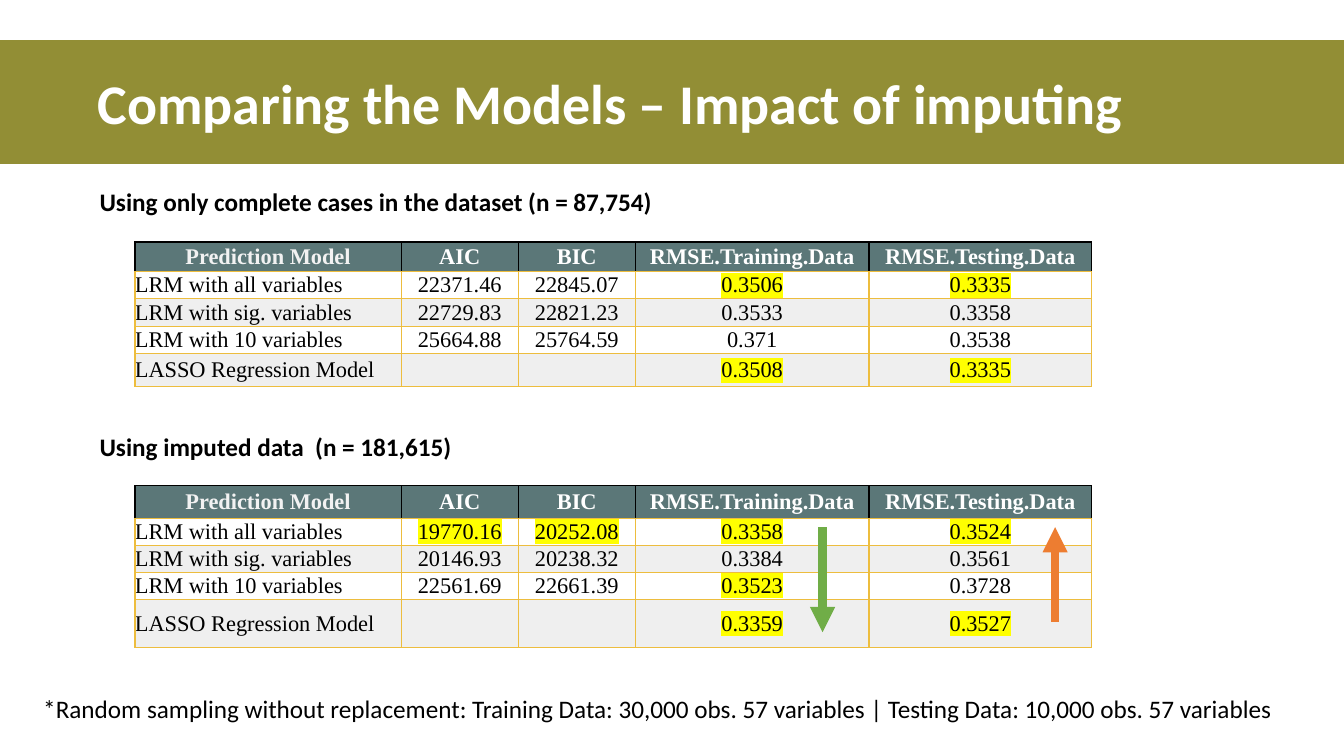
from lxml.etree import SubElement
from pptx import Presentation
from pptx.dml.color import RGBColor
from pptx.enum.shapes import MSO_CONNECTOR as Connector, MSO_SHAPE as Preset
from pptx.enum.text import MSO_ANCHOR as Anchor, PP_ALIGN as Align
from pptx.oxml import parse_xml
from pptx.oxml.ns import nsdecls, qn
from pptx.util import Cm, Pt

OLIVE = RGBColor(0x92, 0x8E, 0x35)
WHITE = RGBColor(0xFF, 0xFF, 0xFF)
BLACK = RGBColor(0, 0, 0)
TEAL = RGBColor(0x5B, 0x77, 0x78)
PALE = RGBColor(0xF2, 0xF2, 0xF2)
STRIPE = RGBColor(0xEF, 0xEF, 0xEF)
GOLD = RGBColor(0xED, 0xBD, 0x3E)
YELLOW = RGBColor(0xFF, 0xFF, 0)
GREEN = RGBColor(0x70, 0xAD, 0x47)
ORANGE = RGBColor(0xED, 0x7D, 0x31)

TITLE = "Comparing the Models – Impact of imputing"
FOOTNOTE = ("*Random sampling without replacement: Training Data: 30,000 obs. "
            "57 variables | Testing Data: 10,000 obs. 57 variables")
HEADER = ["Prediction Model", "AIC", "BIC", "RMSE.Training.Data", "RMSE.Testing.Data"]
MODELS = ["LRM with all variables", "LRM with sig. variables",
          "LRM with 10 variables", "LASSO Regression Model"]
COLUMN_WIDTHS = [6.71, 2.95, 2.95, 5.89, 5.61]
TABLE_LEFT = 3.4
SECTIONS = [
    {"heading": "Using only complete cases in the dataset (n = 87,754)",
     "heading_top": 4.57, "heading_width": 14.55, "wrap": False,
     "table_top": 6.1, "row_heights": [0.74, 0.69, 0.69, 0.69, 0.84],
     "values": [["22371.46", "22845.07", "0.3506", "0.3335"],
                ["22729.83", "22821.23", "0.3533", "0.3358"],
                ["25664.88", "25764.59", "0.371", "0.3538"],
                ["", "", "0.3508", "0.3335"]],
     "marked": {(1, 3), (1, 4), (4, 3), (4, 4)}},
    {"heading": "Using imputed data  (n = 181,615)",
     "heading_top": 10.74, "heading_width": 17.35, "wrap": True,
     "table_top": 12.24, "row_heights": [0.82, 0.68, 0.68, 0.68, 1.22],
     "values": [["19770.16", "20252.08", "0.3358", "0.3524"],
                ["20146.93", "20238.32", "0.3384", "0.3561"],
                ["22561.69", "22661.39", "0.3523", "0.3728"],
                ["", "", "0.3359", "0.3527"]],
     "marked": {(1, 1), (1, 2), (1, 3), (1, 4), (3, 3), (4, 3), (4, 4)}},
]
ARROWS = [(20.73, 13.28, 15.93, GREEN), (26.59, 15.67, 13.28, ORANGE)]


def add_span(para, text, size, font, color, bold=False):
    span = para.add_run()
    span.text = text
    span.font.size = Pt(size)
    span.font.name = font
    span.font.bold = bold
    span.font.color.rgb = color
    return span


def add_text(page, place, text, size, color, bold=False, wrap=True, anchor=Anchor.TOP):
    box = page.shapes.add_textbox(*map(Cm, place))
    box.text_frame.word_wrap = wrap
    box.text_frame.vertical_anchor = anchor
    para = box.text_frame.paragraphs[0]
    add_span(para, text, size, "Calibri", color, bold)
    return para


def highlight(span):
    fill = span.font.fill._xPr.find(qn("a:solidFill"))
    fill.addnext(parse_xml(
        f'<a:highlight {nsdecls("a")}><a:srgbClr val="{YELLOW}"/></a:highlight>'))


def set_borders(cell, is_header):
    properties = cell._tc.get_or_add_tcPr()
    for index, side in enumerate("LRTB"):
        color = BLACK if is_header and side != "B" else GOLD
        properties.insert(index, parse_xml(
            f'<a:ln{side} {nsdecls("a")} w="12700"><a:solidFill>'
            f'<a:srgbClr val="{color}"/></a:solidFill></a:ln{side}>'))


def fill_cell(cell, text, row, column, marked):
    is_header = row == 0
    cell.margin_left = cell.margin_right = cell.margin_top = cell.margin_bottom = 0
    cell.vertical_anchor = Anchor.MIDDLE
    cell.fill.solid()
    cell.fill.fore_color.rgb = TEAL if is_header else WHITE if row % 2 else STRIPE
    set_borders(cell, is_header)
    if not text:
        return
    para = cell.text_frame.paragraphs[0]
    para.space_before = para.space_after = Pt(2)
    para.alignment = Align.CENTER if is_header or column else Align.LEFT
    color = BLACK if not is_header else WHITE if column else PALE
    span = add_span(para, text, 16, "Times New Roman", color, is_header)
    if marked:
        highlight(span)


def add_section(page, section):
    add_text(page, (2.26, section["heading_top"], section["heading_width"], 1.02),
             section["heading"], 18, BLACK, True, section["wrap"])
    heights = section["row_heights"]
    rows = [HEADER] + [[model, *values] for model, values in zip(MODELS, section["values"])]
    table = page.shapes.add_table(
        len(rows), len(HEADER), Cm(TABLE_LEFT), Cm(section["table_top"]),
        Cm(sum(COLUMN_WIDTHS)), Cm(sum(heights))).table
    table.horz_banding = False
    for column, width in zip(table.columns, COLUMN_WIDTHS):
        column.width = Cm(width)
    for row, height in zip(table.rows, heights):
        row.height = Cm(height)
    for row, texts in enumerate(rows):
        for column, text in enumerate(texts):
            fill_cell(table.cell(row, column), text, row, column,
                      (row, column) in section["marked"])


def add_arrow(page, left, start, end, color):
    arrow = page.shapes.add_connector(
        Connector.STRAIGHT, Cm(left), Cm(start), Cm(left), Cm(end))
    arrow.line.color.rgb = color
    arrow.line.width = Pt(6)
    SubElement(arrow.line._get_or_add_ln(), qn("a:tailEnd"), type="triangle")
    SubElement(arrow._element.spPr, qn("a:effectLst"))


def main():
    deck = Presentation()
    deck.slide_width, deck.slide_height = Cm(33.87), Cm(19.05)
    page = deck.slides.add_slide(deck.slide_layouts[6])

    band = page.shapes.add_shape(Preset.RECTANGLE, Cm(-0.43), Cm(1.02), Cm(34.65), Cm(3.1))
    band.shadow.inherit = False
    band.fill.solid()
    band.fill.fore_color.rgb = OLIVE
    band.line.color.rgb = OLIVE
    band.line.width = Pt(1)

    title = add_text(page, (2.21, 0.84, 29.21, 3.68), TITLE, 40, WHITE, True,
                     anchor=Anchor.MIDDLE)
    title.line_spacing = 0.9
    add_text(page, (0.84, 17.35, 32.18, 1.02), FOOTNOTE, 18, BLACK)
    for section in SECTIONS:
        add_section(page, section)
    for arrow in ARROWS:
        add_arrow(page, *arrow)
    deck.save("out.pptx")


if __name__ == "__main__":
    main()
